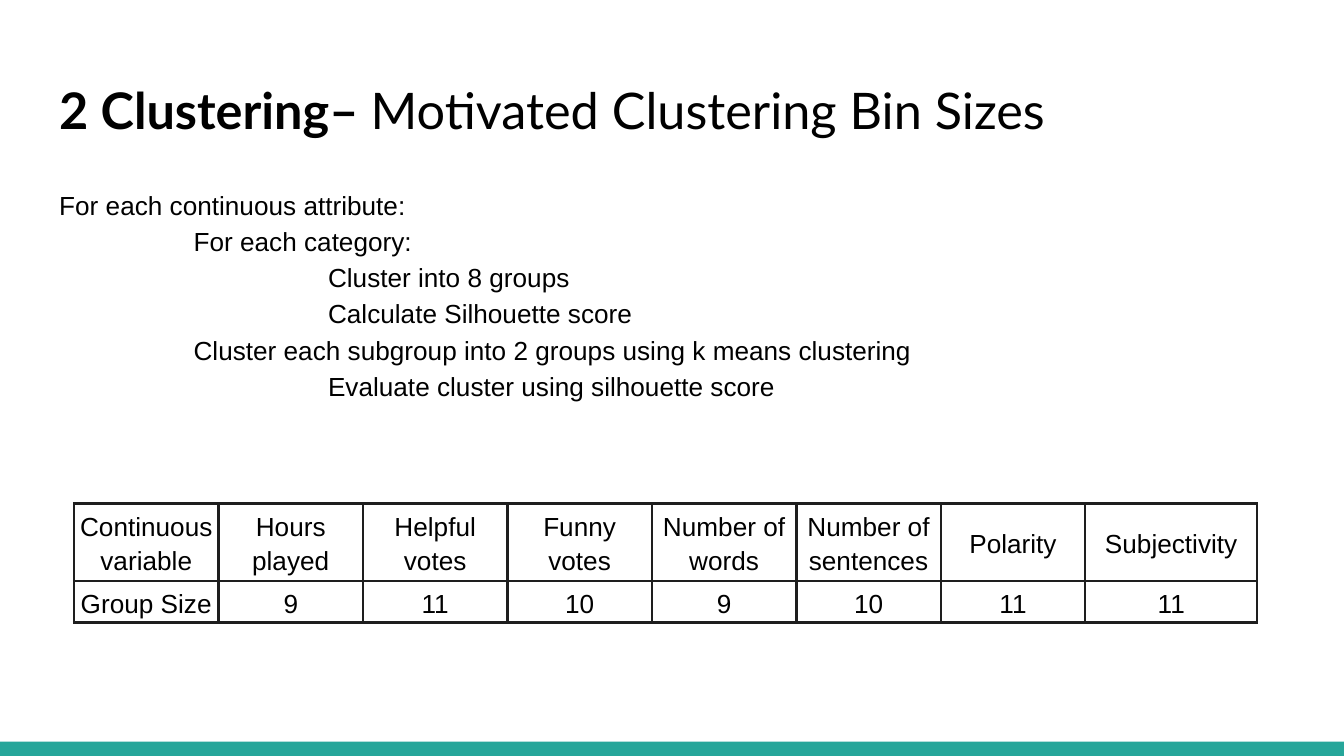
"""Build the slide on clustering bin sizes."""
from lxml import etree
from pptx import Presentation
from pptx.dml.color import RGBColor
from pptx.enum import shapes, text
from pptx.oxml import ns
from pptx.util import Cm, Pt

TITLE = [("2 Clustering– ", True), ("Motivated Clustering Bin Sizes", False)]
STEPS = [
    (0, "For each continuous attribute:"),
    (1, "For each category:"),
    (2, "Cluster into 8 groups"),
    (2, "Calculate Silhouette score"),
    (1, "Cluster each subgroup into 2 groups using k means clustering"),
    (2, "Evaluate cluster using silhouette score"),
]
ROWS = [
    ["Continuous variable", "Hours played", "Helpful votes", "Funny votes",
     "Number of words", "Number of sentences", "Polarity", "Subjectivity"],
    ["Group Size", "9", "11", "10", "9", "10", "11", "11"],
]
WIDTHS = [Cm(2.73)] * 7 + [Cm(3.25)]
HEIGHTS = [Cm(1.02), Cm(0.58)]
INDENT = Cm(2.54)

BLACK = RGBColor(0, 0, 0)
WHITE = RGBColor(255, 255, 255)
TEAL = RGBColor(0x26, 0xA6, 0x9A)
BORDER = RGBColor(0x1E, 0x1E, 0x1E)


def style(font, name, size):
    font.name, font.size = name, Pt(size)
    font.color.rgb = BLACK


def add_box(slide, left, top, width, height):
    frame = slide.shapes.add_textbox(left, top, width, height).text_frame
    frame.word_wrap = True
    frame.margin_left = frame.margin_right = Cm(0.25)
    frame.margin_top = frame.margin_bottom = Cm(0.25)
    return frame


def add_border(cell):
    props = cell._tc.get_or_add_tcPr()
    for place, side in enumerate(("lnL", "lnR", "lnT", "lnB")):
        line = etree.Element(ns.qn(f"a:{side}"), w=str(Pt(1.5)))
        fill = etree.SubElement(line, ns.qn("a:solidFill"))
        etree.SubElement(fill, ns.qn("a:srgbClr"), val=str(BORDER))
        props.insert(place, line)


def fill_cell(cell, words):
    cell.fill.solid()
    cell.fill.fore_color.rgb = WHITE
    cell.vertical_anchor = text.MSO_ANCHOR.MIDDLE
    cell.margin_left = cell.margin_right = Cm(0.08)
    cell.margin_top = cell.margin_bottom = Cm(0.05)
    cell.text = words
    para = cell.text_frame.paragraphs[0]
    para.alignment = text.PP_ALIGN.CENTER
    para.line_spacing = 1.15
    style(para.font, "Arial", 14)
    add_border(cell)


def main():
    deck = Presentation()
    deck.slide_width, deck.slide_height = Cm(25.4), Cm(14.29)
    slide = deck.slides.add_slide(deck.slide_layouts[6])

    bar = slide.shapes.add_shape(
        shapes.MSO_SHAPE.RECTANGLE, 0, Cm(14.02), deck.slide_width, Cm(0.27))
    bar.shadow.inherit = False
    bar.fill.solid()
    bar.fill.fore_color.rgb = TEAL
    bar.line.fill.background()

    para = add_box(slide, Cm(0.87), Cm(1.24), Cm(23.67), Cm(1.7)).paragraphs[0]
    style(para.font, "Lato", 27)
    for words, bold in TITLE:
        run = para.add_run()
        run.text, run.font.bold = words, bold

    frame = add_box(slide, Cm(0.87), Cm(3.25), Cm(17.25), Cm(4.88))
    for place, (level, words) in enumerate(STEPS):
        para = frame.add_paragraph() if place else frame.paragraphs[0]
        para.text = words
        para.line_spacing = 1.15
        para._p.get_or_add_pPr().set("marL", str(level * INDENT))
        style(para.font, "Arial", 14)

    table = slide.shapes.add_table(
        len(ROWS), len(WIDTHS), Cm(1.4), Cm(9.52),
        sum(WIDTHS), sum(HEIGHTS)).table
    for col, width in zip(table.columns, WIDTHS):
        col.width = width
    for row, height, cells in zip(table.rows, HEIGHTS, ROWS):
        row.height = height
        for cell, words in zip(row.cells, cells):
            fill_cell(cell, words)

    deck.save("out.pptx")


if __name__ == "__main__":
    main()
